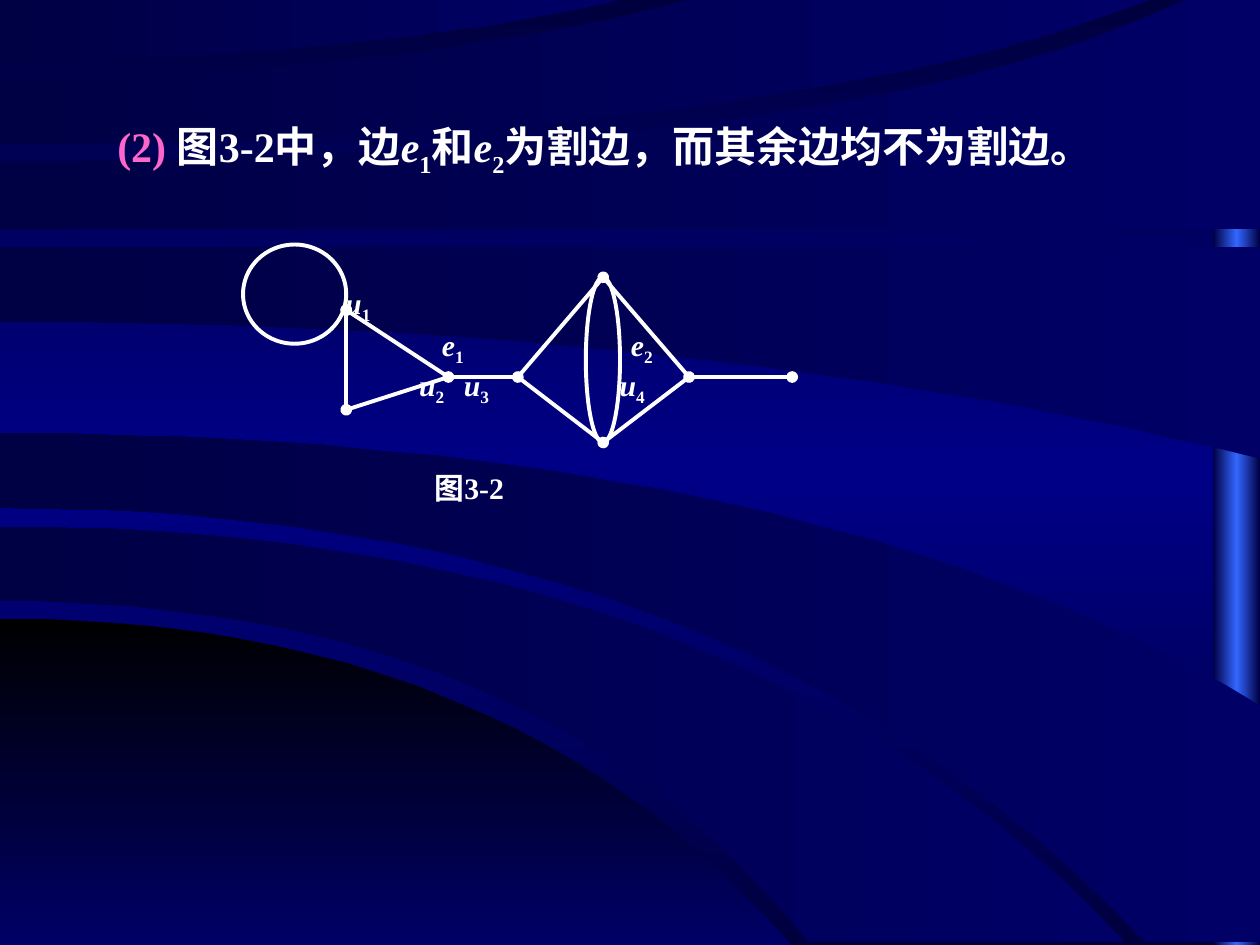
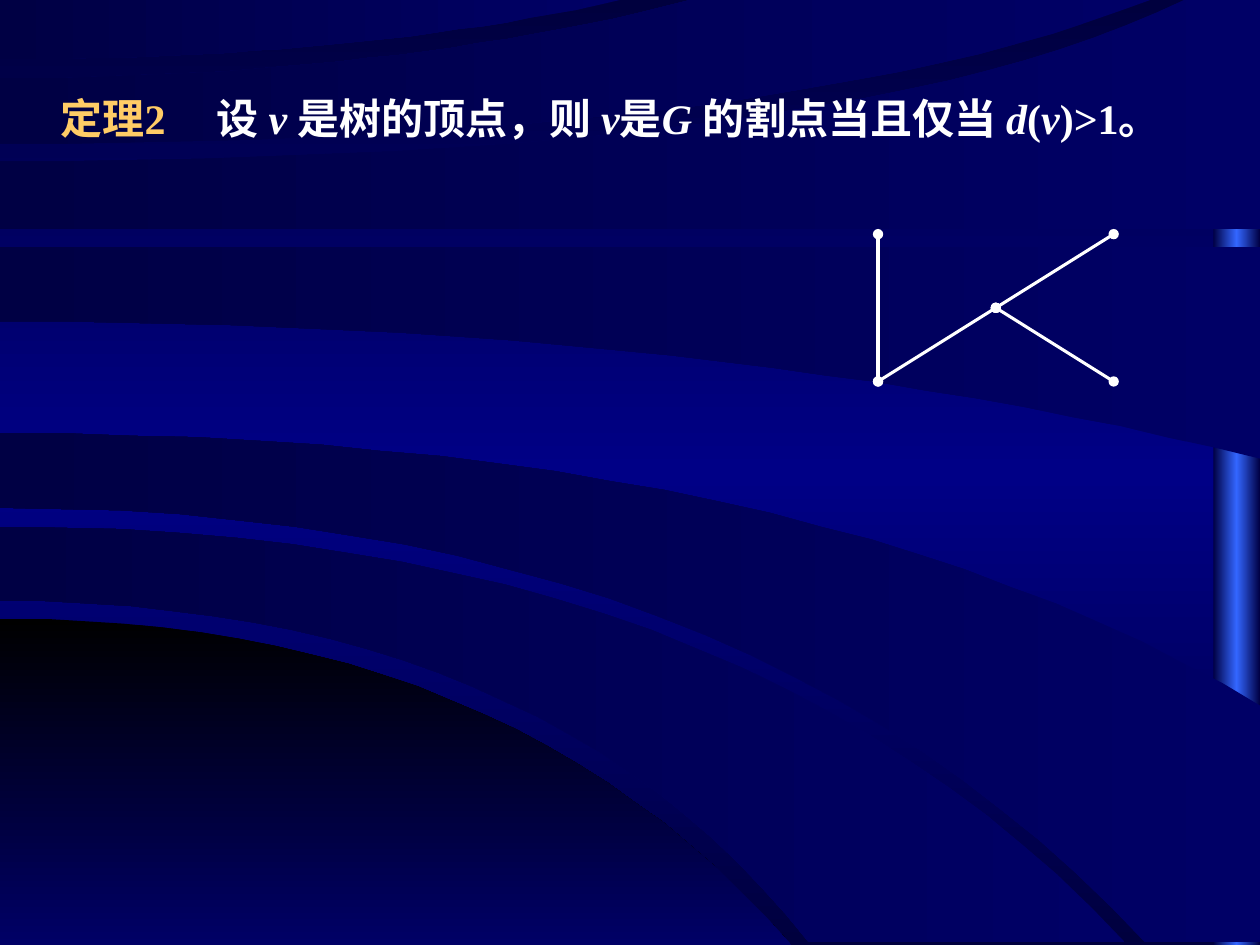
from copy import deepcopy

from lxml import etree
from pptx import Presentation
from pptx.dml.color import RGBColor
from pptx.enum.shapes import MSO_CONNECTOR, MSO_SHAPE
from pptx.enum.text import MSO_ANCHOR, MSO_AUTO_SIZE, PP_ALIGN
from pptx.oxml.ns import qn
from pptx.util import Cm, Pt

LINE = MSO_CONNECTOR.STRAIGHT
OVAL, RECTANGLE = MSO_SHAPE.OVAL, MSO_SHAPE.RECTANGLE
LEFT, TOP, NO_FIT = PP_ALIGN.LEFT, MSO_ANCHOR.TOP, MSO_AUTO_SIZE.NONE

FONT = "Times New Roman"
WHITE = RGBColor(0xFF, 0xFF, 0xFF)
BLACK = RGBColor(0x00, 0x00, 0x00)
PINK = RGBColor(0xFF, 0x66, 0xCC)
GOLD = RGBColor(0xFF, 0xCC, 0x66)
MIDNIGHT = RGBColor(0x00, 0x00, 0x3E)
ROYAL = RGBColor(0x00, 0x00, 0x86)
DEEP = RGBColor(0x00, 0x00, 0x44)
NAVY = RGBColor(0x00, 0x00, 0x66)
BRIGHT = RGBColor(0x33, 0x66, 0xFF)

DOWNWARD, LEFTWARD = 270, 180
PLAIN, VARIABLE, SUBSCRIPT = "plain", "variable", "subscript"

BAND_UNIT = Cm(0.0254)
ARC_STEPS = 24
CORNER = [(491, 403, 628, 750)], [(0, 750)]
BANDS = [
    ([(418, 587, 893, 748), (477, 429, 642, 748)], []),
    ([(344, 640, 1000, 560), (403, 590, 909, 748)], [(1000, 748)]),
    ([(255, 564, 1000, 364)], [(1000, 196), (0, 196)]),
    ([(128, 680, 940, 0)], [(1000, 0), (1000, 182), (0, 182)]),
    ([(62, 310, 548, 0), (114, 620, 913, 0)], []),
    ([(47, 284, 492, 0)], [(0, 0)]),
]


def paint_gradient(fill, holder, colours, angle):
    """Fill with evenly spaced gradient colours; holder is the XML around the fill."""
    fill.gradient()
    fill.gradient_angle = angle
    stop_list = next(holder.iter(qn("a:gsLst")))
    while len(stop_list) < len(colours):
        stop_list.append(deepcopy(stop_list[0]))
    for index, (stop, colour) in enumerate(zip(fill.gradient_stops, colours)):
        stop.position = index / (len(colours) - 1)
        stop.color.rgb = colour


def trace_arc(start_y, control_x, end_x, end_y):
    """Return points of an arc that leaves the left edge of the page level."""
    points = []
    for step in range(ARC_STEPS + 1):
        t = step / ARC_STEPS
        points.append((2 * t * (1 - t) * control_x + t * t * end_x,
                       start_y + t * t * (end_y - start_y)))
    return points


def add_band(page, band, colours, angle):
    """Add a band: an arc, its corners and, if given, a second arc back."""
    arcs, corners = band
    outward, *backward = [trace_arc(*arc) for arc in arcs]
    points = outward + corners
    for arc in backward:
        points += reversed(arc)
    builder = page.shapes.build_freeform(*points[0], scale=BAND_UNIT)
    builder.add_line_segments(points[1:], close=True)
    shape = builder.convert_to_shape()
    paint_gradient(shape.fill, shape.element, colours, angle)
    return shape


def build_backdrop(deck, page):
    """Draw the side bar and the bands, and move them to the slide master."""
    master = deck.slide_master
    paint_gradient(master.background.fill, master.element,
                   [MIDNIGHT, ROYAL, MIDNIGHT], DOWNWARD)
    bar_width = Cm(0.94)
    bar = page.shapes.add_shape(RECTANGLE, deck.slide_width - bar_width, 0,
                                bar_width, deck.slide_height)
    paint_gradient(bar.fill, bar.element, [DEEP, BRIGHT, DEEP], LEFTWARD)
    parts = [bar, add_band(page, CORNER, [BLACK, NAVY], DOWNWARD)]
    parts += [add_band(page, band, [NAVY, DEEP], LEFTWARD) for band in BANDS]
    for index, part in enumerate(parts):
        part.line.fill.background()
        part.shadow.inherit = False
        master.shapes.element.insert(2 + index, part.element)


def write_spans(para, spans, size):
    """Write (text, style) or (text, style, colour) spans in bold."""
    para.alignment = LEFT
    para.font.name = FONT
    para.font.size = size
    para.font.bold = True
    para.font.color.rgb = WHITE
    for text, style, *colour in spans:
        span = para.add_run()
        span.text = text
        if style == VARIABLE:
            span.font.italic = True
        if style == SUBSCRIPT:
            span._r.get_or_add_rPr().set("baseline", "-25000")
        if colour:
            span.font.color.rgb = colour[0]


def add_statement(page, box, spans, tab=None):
    """Place the statement in the title placeholder, with an optional tab stop."""
    title = page.shapes.title
    title.left, title.top, title.width, title.height = box
    frame = title.text_frame
    frame.word_wrap = True
    frame.auto_size = NO_FIT
    frame.vertical_anchor = TOP
    para = frame.paragraphs[0]
    if tab:
        tabs = etree.SubElement(para._p.get_or_add_pPr(), qn("a:tabLst"))
        etree.SubElement(tabs, qn("a:tab"), pos=str(tab), algn="l")
    write_spans(para, spans, Pt(24))


def add_label(page, left, top, width, spans):
    """Add a small text label without margins."""
    frame = page.shapes.add_textbox(left, top, width, Cm(0.8)).text_frame
    frame.margin_left = frame.margin_right = 0
    frame.margin_top = frame.margin_bottom = 0
    frame.word_wrap = True
    write_spans(frame.paragraphs[0], spans, Pt(17))


def add_edge(page, start, end, width, ends):
    """Join two vertices by a line with dots at the named ends."""
    edge = page.shapes.add_connector(LINE, *start, *end)
    edge.line.color.rgb = WHITE
    edge.line.width = width
    outline = edge.line._get_or_add_ln()
    for name in ends:
        etree.SubElement(outline, qn(f"a:{name}"), type="oval")
    etree.SubElement(edge.element.spPr, qn("a:effectLst"))


def add_ring(page, left, top, width, height):
    """Add an unfilled ellipse whose outline stands for curved edges."""
    ring = page.shapes.add_shape(OVAL, left, top, width, height)
    ring.fill.background()
    ring.line.color.rgb = WHITE
    ring.line.width = Pt(2.25)
    ring.shadow.inherit = False


def build_cut_edge_graph(page, left, top):
    """Draw the graph with cut edges, its labels and its caption."""
    axis, apex, base = Cm(2.67), Cm(0.66), Cm(3.99)
    places = {
        "u1": (Cm(2.08), Cm(1.32)), "low": (Cm(2.08), Cm(3.33)),
        "u2": (Cm(4.14), axis), "u3": (Cm(5.54), axis),
        "apex": (Cm(7.26), apex), "base": (Cm(7.26), base),
        "u4": (Cm(8.99), axis), "leaf": (Cm(11.07), axis),
    }
    vertices = {name: (left + x, top + y) for name, (x, y) in places.items()}
    edges = [("u1", "u2"), ("low", "u2"), ("u2", "u3"), ("u4", "apex"),
             ("apex", "u3"), ("u3", "base"), ("u1", "low"), ("base", "u4"),
             ("leaf", "u4")]
    add_ring(page, left, top, Cm(2.08), Cm(2))
    add_ring(page, left + Cm(6.91), top + apex, Cm(0.69), base - apex)
    for start, end in edges:
        add_edge(page, vertices[start], vertices[end], Pt(2.25), ["headEnd"])
    label_rows = [
        (Cm(0.81), [("u", "1", Cm(2.06))]),
        (Cm(1.65), [("e", "1", Cm(4.01)), ("e", "2", Cm(7.82))]),
        (Cm(2.46), [("u", "2", Cm(3.55)), ("u", "3", Cm(4.45)), ("u", "4", Cm(7.59))]),
    ]
    for y, labels in label_rows:
        for letter, number, x in labels:
            add_label(page, left + x, top + y, Cm(1),
                      [(letter, VARIABLE), (number, SUBSCRIPT)])
    add_label(page, left + Cm(3.86), top + Cm(4.55), Cm(2.5), [("图3-2", PLAIN)])


def build_tree(page, left, top, width, height):
    """Draw the five-vertex tree around the centre of its box."""
    hub = (left + width // 2, top + height // 2)
    right, bottom = left + width, top + height
    edges = [(hub, (right, bottom)), (hub, (right, top)),
             ((left, bottom), (left, top)), (hub, (left, bottom))]
    for start, end in edges:
        add_edge(page, start, end, Pt(1.75), ["headEnd", "tailEnd"])


def build_cut_edge_slide(page):
    """Fill the slide on cut edges."""
    add_statement(page, (Cm(2.11), Cm(2.31), Cm(20.65), Cm(2.44)), [
        ("(2) ", PLAIN, PINK), ("图3-2中，边", PLAIN),
        ("e", VARIABLE), ("1", SUBSCRIPT), ("和", PLAIN),
        ("e", VARIABLE), ("2", SUBSCRIPT), ("为割边，而其余边均不为割边。", PLAIN),
    ])
    build_cut_edge_graph(page, Cm(4.9), Cm(4.93))


def build_theorem_slide(page):
    """Fill the slide on cut vertices of a tree."""
    add_statement(page, (Cm(0.97), Cm(1.73), Cm(24.4), Cm(1.27)), [
        ("定理2\t", PLAIN, GOLD), ("设 ", PLAIN), ("v ", VARIABLE),
        ("是树的顶点，则 ", PLAIN), ("v", VARIABLE), ("是", PLAIN),
        ("G ", VARIABLE), ("的割点当且仅当 ", PLAIN), ("d", VARIABLE),
        ("(", PLAIN), ("v", VARIABLE), (")>1。", PLAIN),
    ], tab=Cm(3.15))
    build_tree(page, Cm(17.7), Cm(4.72), Cm(4.75), Cm(2.97))


def main():
    """Build and save the deck."""
    deck = Presentation()
    deck.slide_width, deck.slide_height = Cm(25.4), Cm(19.05)
    title_only = deck.slide_layouts[5]
    pages = [deck.slides.add_slide(title_only) for _ in range(2)]
    build_backdrop(deck, pages[0])
    build_cut_edge_slide(pages[0])
    build_theorem_slide(pages[1])
    deck.save("out.pptx")


if __name__ == "__main__":
    main()
